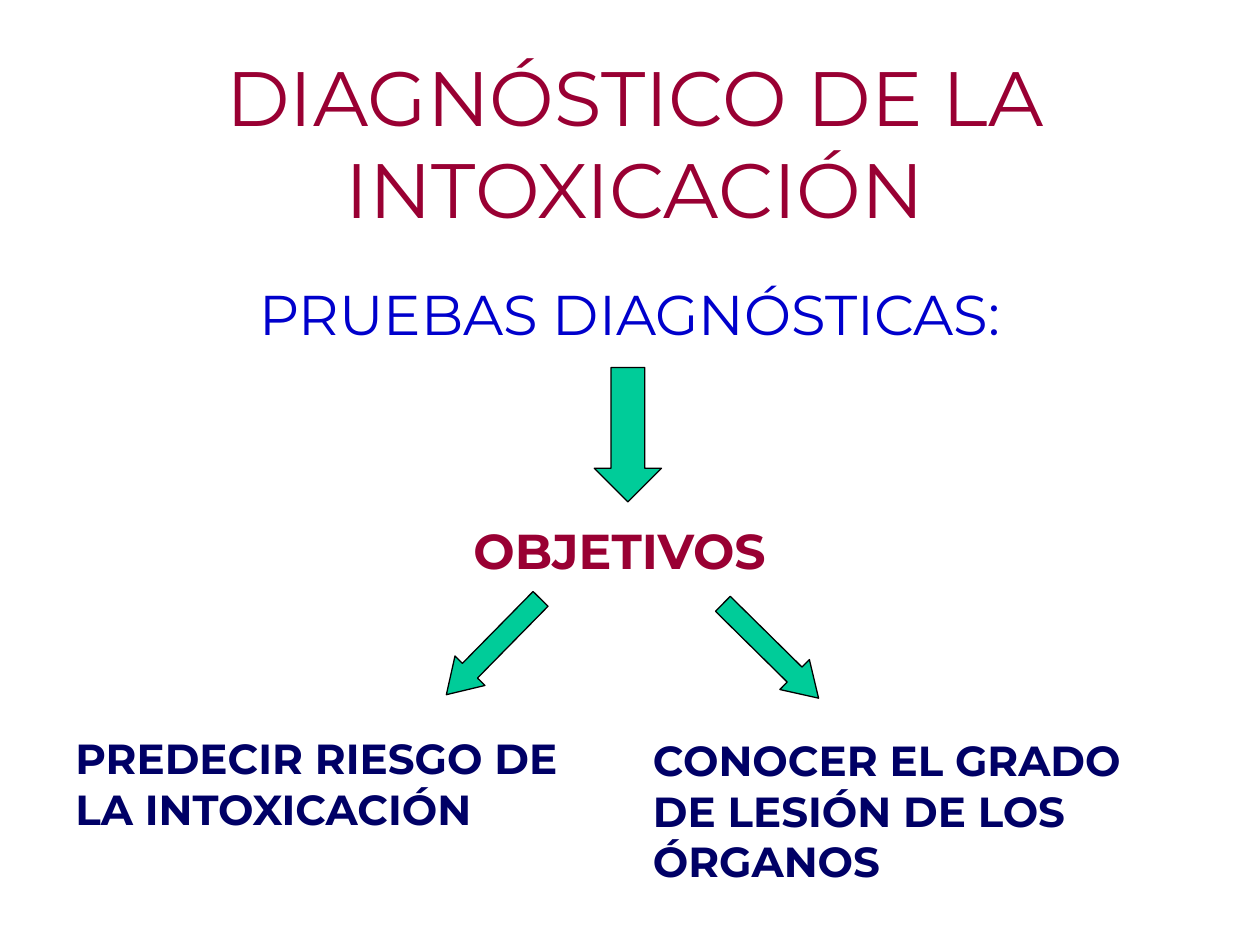
from dataclasses import dataclass

from pptx import Presentation
from pptx.dml.color import RGBColor
from pptx.enum.shapes import MSO_SHAPE
from pptx.enum.text import MSO_ANCHOR, PP_ALIGN
from pptx.slide import Slide
from pptx.util import Pt

EMU_PER_PX = 7620
CRIMSON = "990033"
BLUE = "0000CC"
NAVY = "000066"
GREEN = "00CC99"
BLACK = "000000"


def px(length):
    return length * EMU_PER_PX


def color(value):
    return RGBColor.from_string(value)


def write(frame, text, size, fill, font="Montserrat", bold=False,
          align=PP_ALIGN.LEFT, anchor=MSO_ANCHOR.TOP):
    frame.word_wrap = True
    frame.vertical_anchor = anchor
    paragraph = frame.paragraphs[0]
    paragraph.alignment = align
    run = paragraph.add_run()
    run.text = text
    run.font.name = font
    run.font.size = Pt(size)
    run.font.bold = bold
    run.font.color.rgb = color(fill)


@dataclass
class DiagramSlide:
    slide: Slide
    font: str = "Montserrat"
    arrow_fill: str = GREEN
    arrow_line: str = BLACK

    def text(self, box, text, **style):
        shape = self.slide.shapes.add_textbox(*map(px, box))
        write(shape.text_frame, text, font=self.font, **style)

    def arrow(self, box, head, rotation=0):
        shape = self.slide.shapes.add_shape(MSO_SHAPE.DOWN_ARROW, *map(px, box))
        shape.adjustments[0] = 0.5
        shape.adjustments[1] = head
        shape.rotation = rotation
        shape.shadow.inherit = False
        shape.fill.solid()
        shape.fill.fore_color.rgb = color(self.arrow_fill)
        shape.line.color.rgb = color(self.arrow_line)
        shape.line.width = Pt(0.75)


def main():
    presentation = Presentation()
    presentation.slide_width = px(1200)
    presentation.slide_height = px(900)
    diagram = DiagramSlide(presentation.slides.add_slide(presentation.slide_layouts[6]))

    diagram.text((90, 40, 1030, 190), "DIAGNÓSTICO DE LA INTOXICACIÓN", size=44,
                 fill=CRIMSON, align=PP_ALIGN.CENTER, anchor=MSO_ANCHOR.MIDDLE)
    diagram.text((90, 260, 1020, 540), "PRUEBAS DIAGNÓSTICAS:", size=32,
                 fill=BLUE, align=PP_ALIGN.CENTER)
    diagram.arrow((566, 350, 64, 128), head=0.5)
    diagram.text((420, 490, 340, 68), "OBJETIVOS", size=28, fill=CRIMSON,
                 bold=True, align=PP_ALIGN.CENTER)

    diagram.arrow((450, 552, 40, 128), head=0.8, rotation=44.5)
    diagram.arrow((714, 556, 40, 128), head=0.8, rotation=314.6)

    goal = {"size": 24, "fill": NAVY, "bold": True}
    diagram.text((60, 692, 530, 108), "PREDECIR RIESGO DE LA INTOXICACIÓN", **goal)
    diagram.text((610, 694, 520, 156), "CONOCER EL GRADO DE LESIÓN DE LOS ÓRGANOS", **goal)

    presentation.save("out.pptx")


if __name__ == "__main__":
    main()
